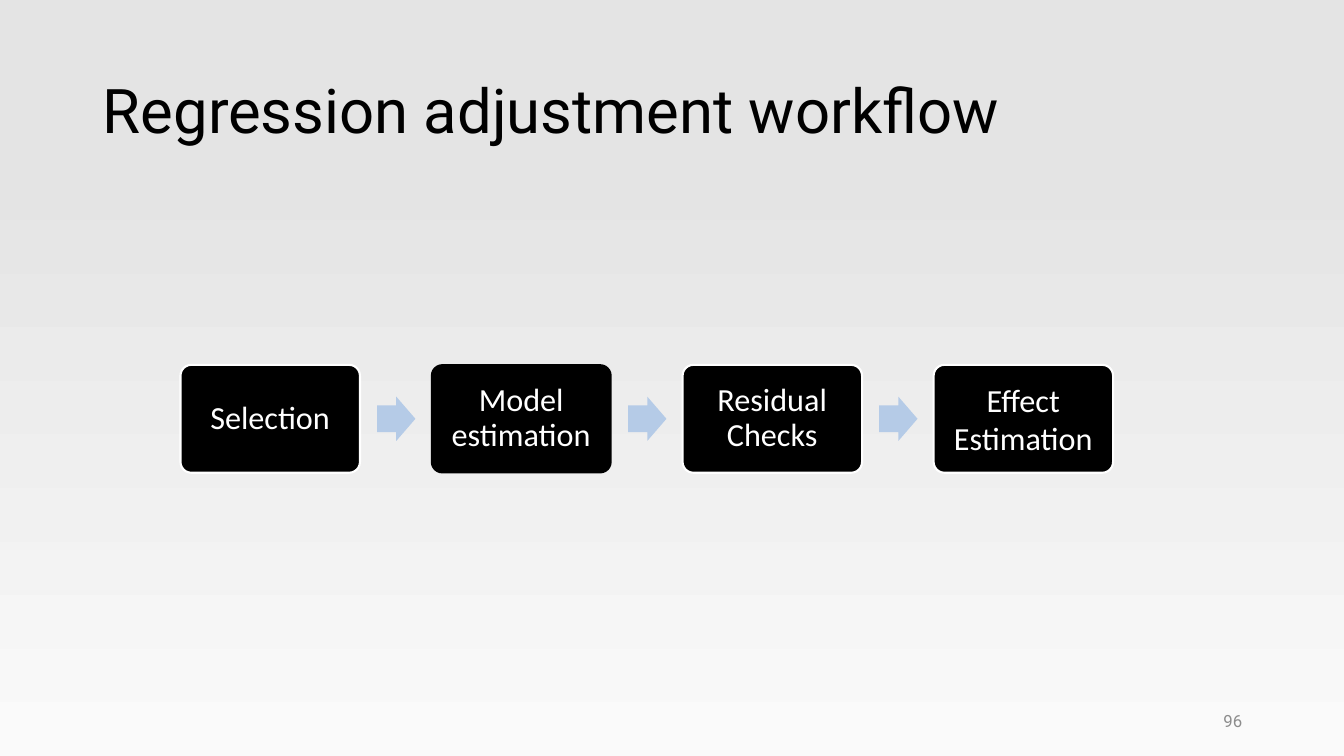
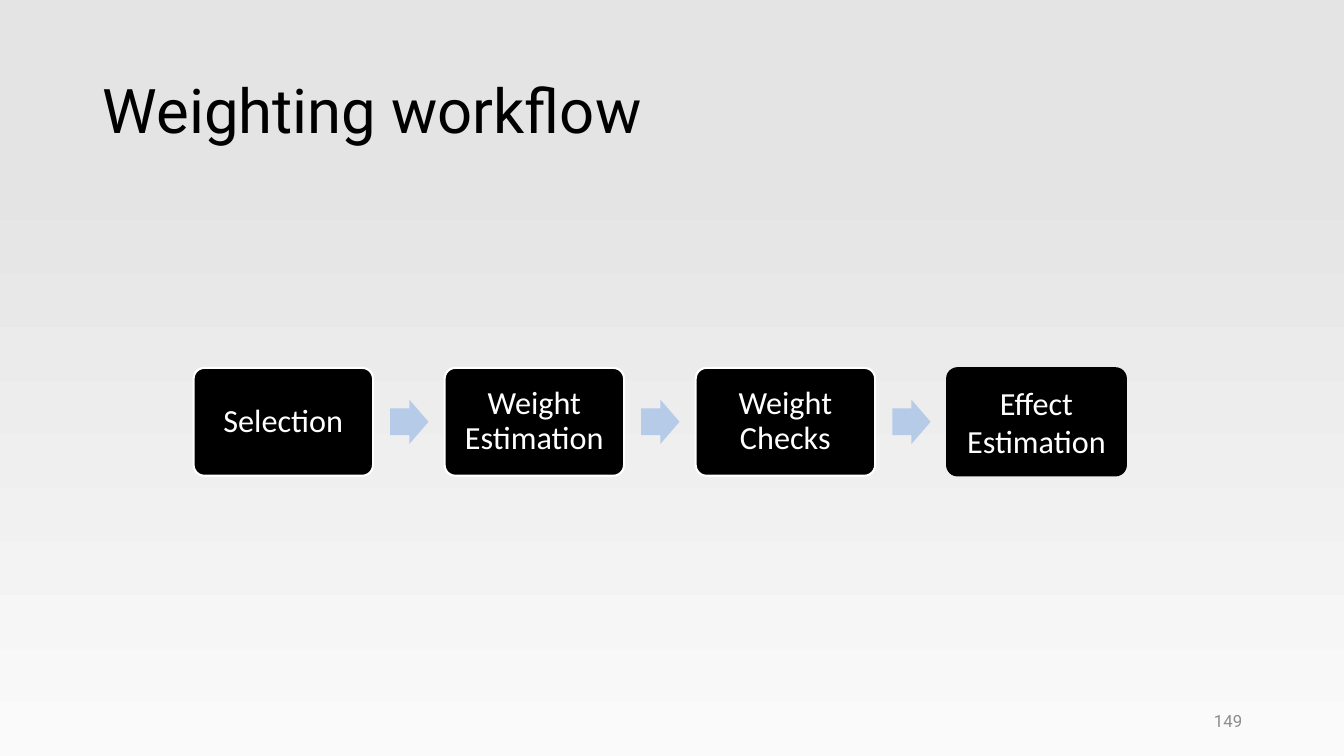
from pptx import Presentation
from pptx.dml.color import RGBColor
from pptx.enum import shapes, text
from pptx.util import Inches, Pt

# Content: "active" is the index of the step outlined in black
WORKFLOWS = [
    {"title": "Regression adjustment workflow", "number": "96",
     "left": 1.79, "top": 3.62, "active": 1,
     "steps": ["Selection", "Model estimation", "Residual\vChecks", "Effect Estimation"]},
    {"title": "Weighting workflow", "number": "149",
     "left": 1.92, "top": 3.65, "active": 3,
     "steps": ["Selection", "Weight Estimation", "Weight\vChecks", "Effect Estimation"]},
]

# Shared style
BLACK, WHITE, GREY, BLUE = "000000", "FFFFFF", "8C8C8C", "B5CBE7"
BACKGROUND = [("FAFAFA", 0), ("E4E4E4", 0.78)]
TITLE_FONT, STEP_FONT = "Roboto", "Calibri"
STEP_WIDTH, STEP_HEIGHT, STEP_PITCH = 1.78, 1.07, 2.49
ARROW_WIDTH, ARROW_HEIGHT, ARROW_OFFSET = 0.38, 0.44, 1.95


def color(value):
    return RGBColor.from_string(value)


def write(shape, words, *, size, font, fill, align, spacing=1.0):
    frame = shape.text_frame
    frame.word_wrap = True
    frame.auto_size = text.MSO_AUTO_SIZE.NONE
    frame.vertical_anchor = text.MSO_ANCHOR.MIDDLE
    frame.text = words
    para = frame.paragraphs[0]
    para.alignment = align
    para.line_spacing = spacing
    for span in para.runs:
        span.font.size = Pt(size)
        span.font.name = font
        span.font.color.rgb = color(fill)
    return frame


def add_shape(page, kind, left, top, width, height, fill, adjustments):
    shape = page.shapes.add_shape(
        kind, Inches(left), Inches(top), Inches(width), Inches(height))
    shape.shadow.inherit = False
    shape.fill.solid()
    shape.fill.fore_color.rgb = color(fill)
    shape.line.fill.background()
    for index, value in enumerate(adjustments):
        shape.adjustments[index] = value
    return shape


def add_step(page, words, left, top, active, last):
    box = add_shape(page, shapes.MSO_SHAPE.ROUNDED_RECTANGLE, left, top,
                    STEP_WIDTH, STEP_HEIGHT, BLACK, [0.1])
    box.line.color.rgb = color(BLACK if active else WHITE)
    box.line.width = Pt(1 if active else 1.5)
    frame = write(box, words, size=23, font=STEP_FONT, fill=WHITE,
                  align=text.PP_ALIGN.CENTER, spacing=1.0 if last else 0.9)
    frame.margin_left = frame.margin_right = Inches(0.1)
    frame.margin_top = frame.margin_bottom = Inches(0.1)


def add_workflow(page, flow):
    last = len(flow["steps"]) - 1
    arrow_top = flow["top"] + (STEP_HEIGHT - ARROW_HEIGHT) / 2
    for index, words in enumerate(flow["steps"]):
        left = flow["left"] + index * STEP_PITCH
        add_step(page, words, left, flow["top"],
                 active=index == flow["active"], last=index == last)
        if index < last:
            add_shape(page, shapes.MSO_SHAPE.RIGHT_ARROW, left + ARROW_OFFSET,
                      arrow_top, ARROW_WIDTH, ARROW_HEIGHT, BLUE, [0.6, 0.5])


def prepare_layout(deck):
    # Gradient background on the master, title position on the layout
    fill = deck.slide_master.background.fill
    fill.gradient()
    fill.gradient_angle = 90
    for stop, (value, position) in zip(fill.gradient_stops, BACKGROUND):
        stop.color.rgb = color(value)
        stop.position = position
    layout = deck.slide_layouts.get_by_name("Title Only")
    title = layout.placeholders[0]
    title.left, title.top = Inches(0.92), Inches(0.4)
    title.width, title.height = Inches(11.5), Inches(1.45)
    return layout


def main():
    deck = Presentation()
    deck.slide_width, deck.slide_height = Inches(13.33), Inches(7.5)
    layout = prepare_layout(deck)
    for flow in WORKFLOWS:
        page = deck.slides.add_slide(layout)
        write(page.shapes.title, flow["title"], size=44, font=TITLE_FONT,
              fill=BLACK, align=text.PP_ALIGN.LEFT, spacing=0.9)
        number = page.shapes.add_textbox(
            Inches(9.42), Inches(6.95), Inches(3), Inches(0.4))
        write(number, flow["number"], size=12, font=TITLE_FONT,
              fill=GREY, align=text.PP_ALIGN.RIGHT)
        add_workflow(page, flow)
    deck.save("out.pptx")


if __name__ == "__main__":
    main()
